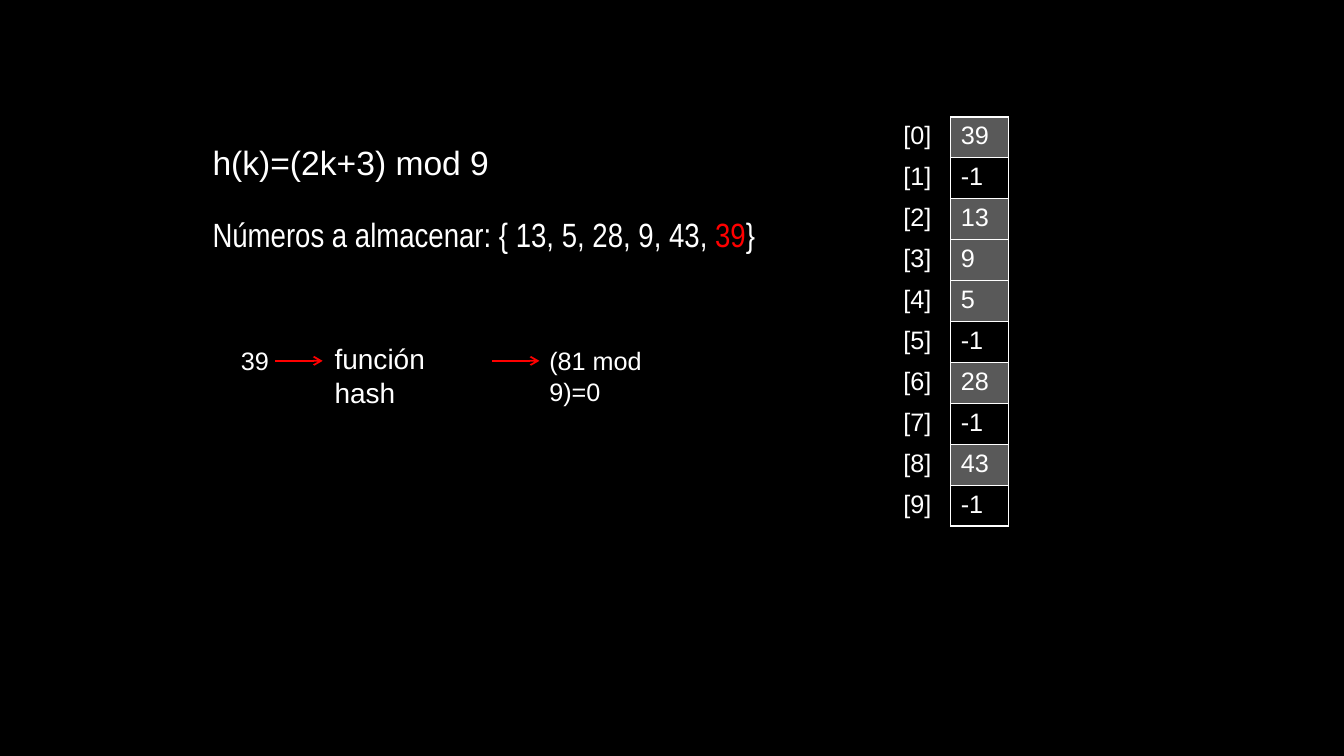
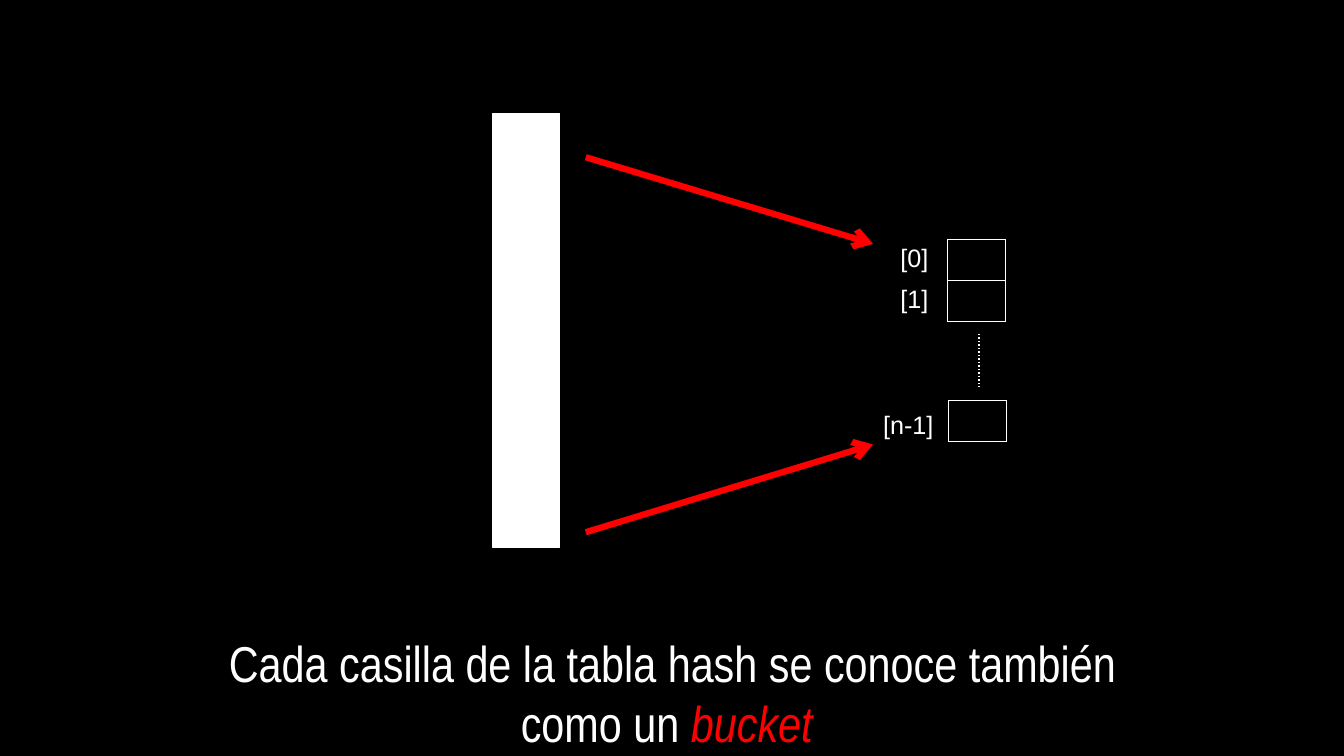
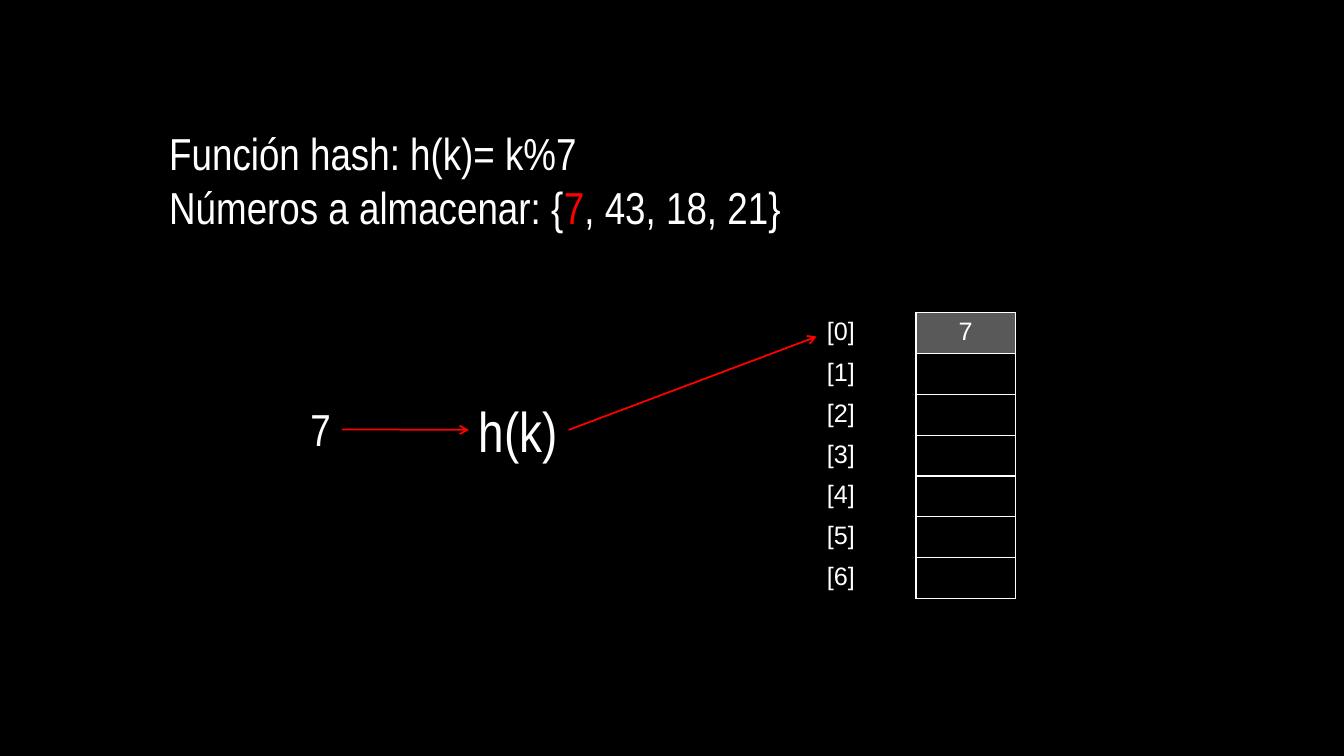
"""Build three slides that explain how a hash table stores its keys."""
import pptx
import pptx.util
import pptx.dml.color
import pptx.enum.dml
import pptx.enum.shapes
import pptx.enum.text
import pptx.oxml
import pptx.oxml.ns

Inches = pptx.util.Inches
Pt = pptx.util.Pt
ALIGN = pptx.enum.text.PP_ALIGN

COLORS = {"back": "000000", "text": "FFFFFF", "accent": "FF0000", "used": "595959"}
SANS, NARROW = "Arial", "Arial Narrow"
RED = {"color": "accent"}
RED_ITALIC = {"color": "accent", "italic": True}

FORMULA = [["h(k)=(2k+3) mod 9"]]
KEYS_MOD_9 = [["Números a almacenar: { 13, 5, 28, 9, 43, ", ("39", RED), "}"]]
SLOTS_MOD_9 = [39, -1, 13, 9, 5, -1, 28, -1, 43, -1]
BUCKET_NOTE = [["Cada casilla de la tabla hash se conoce también como un ", ("bucket ", RED_ITALIC)]]
KEYS_MOD_7 = [["Función hash: h(k)= k%7"], ["Números a almacenar: {", ("7", RED), ", 43, 18, 21}"]]
SLOTS_MOD_7 = [7] + [None] * 6
BUCKET_ARROWS = [((5.81, 1.56), (8.66, 2.42)), ((5.81, 5.28), (8.66, 4.41))]


def rgb(name):
    return pptx.dml.color.RGBColor.from_string(COLORS[name])


def write(tf, lines, size=18, font=SANS, align=ALIGN.LEFT):
    """Fill a text frame with lines made of plain or styled runs."""
    for i, line in enumerate(lines):
        p = tf.add_paragraph() if i else tf.paragraphs[0]
        p.alignment = align
        for part in line:
            text, style = (part, {}) if isinstance(part, str) else part
            r = p.add_run()
            r.text = text
            r.font.size, r.font.name = Pt(size), font
            r.font.italic = style.get("italic", False)
            r.font.color.rgb = rgb(style.get("color", "text"))


def add_box(s, at, fill):
    sp = s.shapes.add_shape(pptx.enum.shapes.MSO_SHAPE.RECTANGLE, *map(Inches, at))
    sp.shadow.inherit = False
    sp.fill.solid()
    sp.fill.fore_color.rgb = rgb(fill)
    sp.line.color.rgb = rgb(fill)
    sp.line.width = Pt(0.75)
    return sp


def add_text(s, lines, at, fill=None, **fmt):
    sp = add_box(s, at, fill) if fill else s.shapes.add_textbox(*map(Inches, at))
    tf = sp.text_frame
    tf.word_wrap = True
    tf.vertical_anchor = pptx.enum.text.MSO_ANCHOR.TOP
    write(tf, lines, **fmt)
    return sp


def add_line(s, start, end, color="accent", width=1.25, arrow=True, begin_at=None, end_at=None):
    """Draw a straight line, joined at its ends to shapes where given."""
    c = s.shapes.add_connector(pptx.enum.shapes.MSO_CONNECTOR.STRAIGHT, *map(Inches, start + end))
    if begin_at is not None:
        c.begin_connect(begin_at, 3)
    if end_at is not None:
        c.end_connect(end_at, 1)
    c.line.color.rgb = rgb(color)
    c.line.width = Pt(width)
    if arrow:
        tail = c.line._get_or_add_ln().makeelement(pptx.oxml.ns.qn("a:tailEnd"), {"type": "arrow"})
        c.line._get_or_add_ln().append(tail)
    c._element.spPr.append(c._element.makeelement(pptx.oxml.ns.qn("a:effectLst"), {}))
    return c


def set_borders(cell, visible):
    tc_pr = cell._tc.get_or_add_tcPr()
    for i, side in enumerate("LRTB"):
        paint = f'<a:solidFill><a:srgbClr val="{COLORS["text"]}"/></a:solidFill>'
        ln = pptx.oxml.parse_xml(
            f'<a:ln{side} {pptx.oxml.ns.nsdecls("a")} w="{Pt(1)}">'
            f'{paint if side in visible else "<a:noFill/>"}</a:ln{side}>')
        tc_pr.insert(i, ln)


def add_slots(s, values, at, labels=True, align=ALIGN.LEFT):
    """Draw a column of slots, each with its index on the left."""
    left, top, width, height = map(Inches, at)
    table = s.shapes.add_table(len(values), 2, left, top, width, height).table
    table.first_row = table.horz_banding = False
    for i, value in enumerate(values):
        label, slot = table.cell(i, 0), table.cell(i, 1)
        for cell, borders in ((label, "R"), (slot, "LRTB")):
            cell.fill.background()
            set_borders(cell, borders)
        if labels:
            write(label.text_frame, [[f"[{i}]"]])
        if value is not None:
            write(slot.text_frame, [[str(value)]], align=align)
            if value >= 0:
                slot.fill.solid()
                slot.fill.fore_color.rgb = rgb("used")


def build_mod_9(s):
    add_text(s, FORMULA, (2.01, 1.36, 3.1, 0.5), fill="back", size=24)
    add_text(s, KEYS_MOD_9, (2.01, 2.07, 5.7, 0.5), size=24, font=NARROW)
    add_text(s, [["39"]], (2.29, 3.38, 0.52, 0.4))
    add_line(s, (2.73, 3.58), (3.2, 3.58))
    add_text(s, [["función hash"]], (3.22, 3.34, 1.73, 0.44), fill="back", size=20)
    result = add_text(s, [["(81 mod 9)=0"]], (5.35, 3.38, 1.66, 0.4))
    add_line(s, (4.88, 3.58), (5.35, 3.58), end_at=result)
    add_slots(s, SLOTS_MOD_9, (8.86, 1.16, 1.14, 4.06))


def build_buckets(s):
    add_text(s, BUCKET_NOTE, (1.67, 6.22, 10, 1.31), fill="back",
             size=36, font=NARROW, align=ALIGN.CENTER)
    add_slots(s, [None] * 2, (8.83, 2.38, 1.14, 0.81))
    add_slots(s, [None], (8.84, 3.97, 1.14, 0.41), labels=False)
    gap = add_line(s, (9.71, 3.31), (9.71, 3.83), color="text", arrow=False)
    gap.line.dash_style = pptx.enum.dml.MSO_LINE.ROUND_DOT
    add_text(s, [["[n-1]"]], (8.66, 4.01, 0.8, 0.4))
    for start, end in BUCKET_ARROWS:
        add_line(s, start, end, width=4.5)
    add_box(s, (4.89, 1.13, 0.66, 4.3), "text")


def build_mod_7(s):
    add_slots(s, SLOTS_MOD_7, (8.1, 3.1, 1.97, 2.84), align=ALIGN.CENTER)
    add_text(s, KEYS_MOD_7, (1.58, 1.2, 6.52, 1.18), size=32, font=NARROW)
    key = add_text(s, [["7"]], (2.98, 3.94, 0.41, 0.64), size=32, font=NARROW)
    function = add_text(s, [["h(k)"]], (4.65, 3.88, 0.99, 0.77), fill="back", size=40, font=NARROW)
    add_line(s, (3.38, 4.26), (4.65, 4.27), begin_at=key, end_at=function)
    add_line(s, (5.64, 4.27), (8.1, 3.34), begin_at=function)


def main():
    prs = pptx.Presentation()
    prs.slide_width, prs.slide_height = Inches(13.33), Inches(7.5)
    back = prs.slide_master.background.fill
    back.solid()
    back.fore_color.rgb = rgb("back")
    for build in (build_mod_9, build_buckets, build_mod_7):
        build(prs.slides.add_slide(prs.slide_layouts[6]))
    prs.save("out.pptx")


if __name__ == "__main__":
    main()
